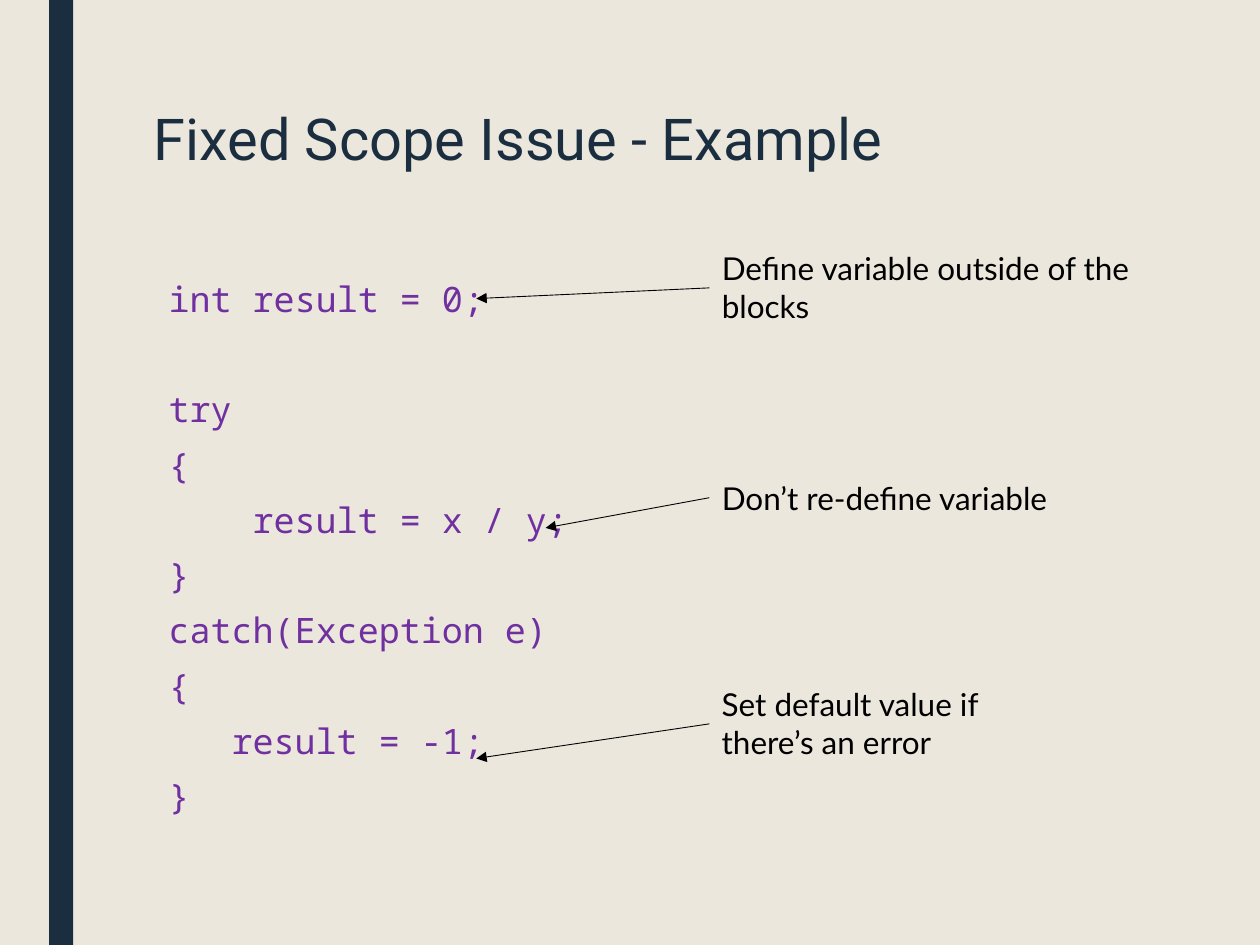
from dataclasses import dataclass

from pptx import Presentation
from pptx.dml.color import RGBColor as Rgb
from pptx.enum.shapes import MSO_CONNECTOR as Link, MSO_SHAPE as Form
from pptx.enum.text import MSO_ANCHOR as Anchor
from pptx.oxml.ns import qn
from pptx.shapes.autoshape import Shape
from pptx.slide import Slide
from pptx.text.text import _Paragraph as Para
from pptx.util import Inches, Pt
from lxml.etree import SubElement

COLORS = {"back": "EBE7DD", "navy": "1A2E40", "code": "7030A0", "ink": "000000"}
PITCH = 31.6
BEFORE = 7.5
AFTER = 1.5
CHAR = 1 / 6


@dataclass
class Line:
    text: str
    indent: int = 0
    skip: int = 0


@dataclass
class Note:
    text: str
    top: float
    width: float
    height: float
    tip: tuple[float, float]


CODE = [
    Line("int result = 0;"),
    Line("try", skip=1),
    Line("{"),
    Line("result = x / y;", indent=4),
    Line("}"),
    Line("catch(Exception e)"),
    Line("{"),
    Line("result = -1;", indent=3),
    Line("}"),
]
NOTES = [
    Note("Define variable outside of the blocks", 1.93, 3.45, 0.71, (3.78, 2.37)),
    Note("Don’t re-define variable", 3.75, 3.12, 0.4, (4.33, 4.19)),
    Note("Set default value if there’s an error", 5.39, 2.9, 0.71, (3.78, 6.02)),
]


def color(name: str) -> Rgb:
    """Return a named colour."""
    return Rgb.from_string(COLORS[name])


def style(para: Para, face: str, size: float, name: str) -> None:
    """Set the font of a paragraph."""
    para.font.name = face
    para.font.size = Pt(size)
    para.font.color.rgb = color(name)


def add_box(slide: Slide, left: float, top: float, width: float, height: float) -> Shape:
    """Add a wrapping text box."""
    box = slide.shapes.add_textbox(*map(Inches, (left, top, width, height)))
    box.text_frame.word_wrap = True
    return box


def add_bar(slide: Slide) -> None:
    """Draw the side bar."""
    bar = slide.shapes.add_shape(Form.RECTANGLE, Inches(0.39), 0, Inches(0.19), Inches(7.5))
    bar.shadow.inherit = False
    bar.fill.solid()
    bar.fill.fore_color.rgb = color("navy")
    bar.line.fill.background()


def add_title(slide: Slide, text: str) -> None:
    """Write the slide title."""
    frame = add_box(slide, 1.12, 0.75, 8.45, 0.76).text_frame
    frame.vertical_anchor = Anchor.MIDDLE
    para = frame.paragraphs[0]
    para.text = text
    para.line_spacing = 0.89
    style(para, "Roboto", 33, "navy")


def add_code(slide: Slide, lines: list[Line]) -> None:
    """Write the code with paragraph indents and gaps."""
    frame = add_box(slide, 1.12, 2.17, 7.95, 4.77).text_frame
    for i, line in enumerate(lines):
        para = frame.add_paragraph() if i else frame.paragraphs[0]
        para.text = line.text
        para.line_spacing = Pt(PITCH - BEFORE - AFTER)
        para.space_before = Pt(BEFORE + line.skip * PITCH)
        para.space_after = Pt(AFTER)
        props = para._p.get_or_add_pPr()
        props.set("marL", str(Inches(0.12 + line.indent * CHAR)))
        props.set("indent", "0")
        style(para, "Noto Sans Mono", 20, "code")


def add_note(slide: Slide, note: Note) -> None:
    """Write a note and point its arrow at the code."""
    box = add_box(slide, 5.63, note.top, note.width, note.height)
    para = box.text_frame.paragraphs[0]
    para.text = note.text
    style(para, "Lato", 18, "ink")
    tip = map(Inches, note.tip)
    arrow = slide.shapes.add_connector(Link.STRAIGHT, 0, 0, *tip)
    arrow.begin_connect(box, 1)
    arrow.line.color.rgb = color("ink")
    arrow.line.width = Pt(0.5)
    SubElement(arrow.line._get_or_add_ln(), qn("a:tailEnd"), type="triangle")
    SubElement(arrow._element.spPr, qn("a:effectLst"))


def main() -> None:
    """Build the slide."""
    deck = Presentation()
    deck.slide_width, deck.slide_height = Inches(10), Inches(7.5)
    slide = deck.slides.add_slide(deck.slide_layouts[6])
    slide.background.fill.solid()
    slide.background.fill.fore_color.rgb = color("back")
    add_bar(slide)
    add_title(slide, "Fixed Scope Issue - Example")
    add_code(slide, CODE)
    for note in NOTES:
        add_note(slide, note)
    deck.save("out.pptx")


if __name__ == "__main__":
    main()
